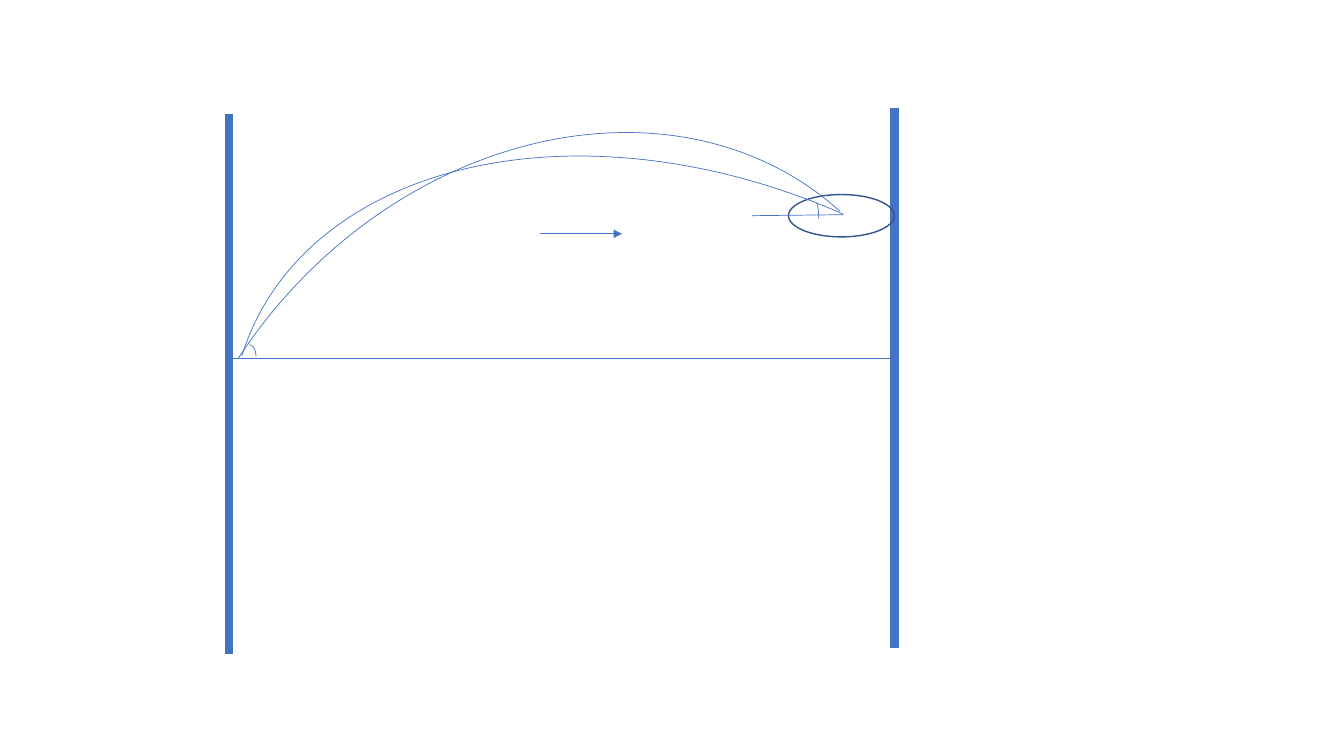
from dataclasses import dataclass

import pptx
import pptx.dml.color
import pptx.enum.shapes
import pptx.oxml
import pptx.oxml.ns
import pptx.slide
import pptx.util

EMU_PER_PX = 9144  # 100 px to the inch
COLORS = {"stroke": "4472C4", "hoop": "325491"}
SHAPES = pptx.enum.shapes.MSO_SHAPE


@dataclass
class Segment:
    start: tuple[int, int]
    end: tuple[int, int]
    weight: float = 0.5
    arrow: bool = False


@dataclass
class Curve:
    left: int
    top: int
    width: int
    height: int
    kind: SHAPES = SHAPES.ARC
    rotation: float = 0
    adjustments: tuple[float, ...] = ()
    color: str = "stroke"
    weight: float = 0.5


right_wall = Segment((887, 107), (887, 643), weight=6)
left_wall = Segment((227, 113), (227, 649), weight=6)
floor = Segment((227, 356), (887, 356))
hoop = Curve(782, 193, 105, 42, SHAPES.OVAL, color="hoop", weight=1)
high_path = Curve(120, 175, 853, 701, rotation=312.2, adjustments=(153.94, 0))
low_path = Curve(356, 35, 685, 982, rotation=294, adjustments=(159.99, 215.82))
launch_angle = Curve(241, 342, 13, 23)
hoop_level = Segment((746, 214), (837, 213))
entry_angle = Curve(807, 201, 5, 33)
direction = Segment((536, 232), (617, 232), arrow=True)

DRAWING = [right_wall, left_wall, floor, hoop, high_path, low_path,
           launch_angle, hoop_level, entry_angle, direction]


def px(length: int) -> pptx.util.Emu:
    return pptx.util.Emu(length * EMU_PER_PX)


def set_line(line: pptx.dml.line.LineFormat, color: str, weight: float) -> None:
    line.color.rgb = pptx.dml.color.RGBColor.from_string(COLORS[color])
    line.width = pptx.util.Pt(weight)


def draw_segment(page: pptx.slide.Slide, segment: Segment) -> None:
    connector = page.shapes.add_connector(
        pptx.enum.shapes.MSO_CONNECTOR.STRAIGHT,
        *map(px, segment.start + segment.end))
    set_line(connector.line, "stroke", segment.weight)
    properties = connector._element.spPr
    if segment.arrow:
        head = pptx.oxml.parse_xml(
            f'<a:tailEnd {pptx.oxml.ns.nsdecls("a")} type="triangle"/>')
        properties.find(pptx.oxml.ns.qn("a:ln")).append(head)
    properties.append(pptx.oxml.parse_xml(
        f'<a:effectLst {pptx.oxml.ns.nsdecls("a")}/>'))


def draw_curve(page: pptx.slide.Slide, curve: Curve) -> None:
    shape = page.shapes.add_shape(
        curve.kind, px(curve.left), px(curve.top), px(curve.width), px(curve.height))
    shape.rotation = curve.rotation
    for index, value in enumerate(curve.adjustments):
        shape.adjustments[index] = value
    shape.shadow.inherit = False
    shape.fill.background()
    set_line(shape.line, curve.color, curve.weight)


def main() -> None:
    deck = pptx.Presentation()
    deck.slide_width, deck.slide_height = px(1333), px(750)
    page = deck.slides.add_slide(deck.slide_layouts.get_by_name("Blank"))
    for item in DRAWING:
        if isinstance(item, Segment):
            draw_segment(page, item)
        else:
            draw_curve(page, item)
    deck.save("out.pptx")


if __name__ == "__main__":
    main()
